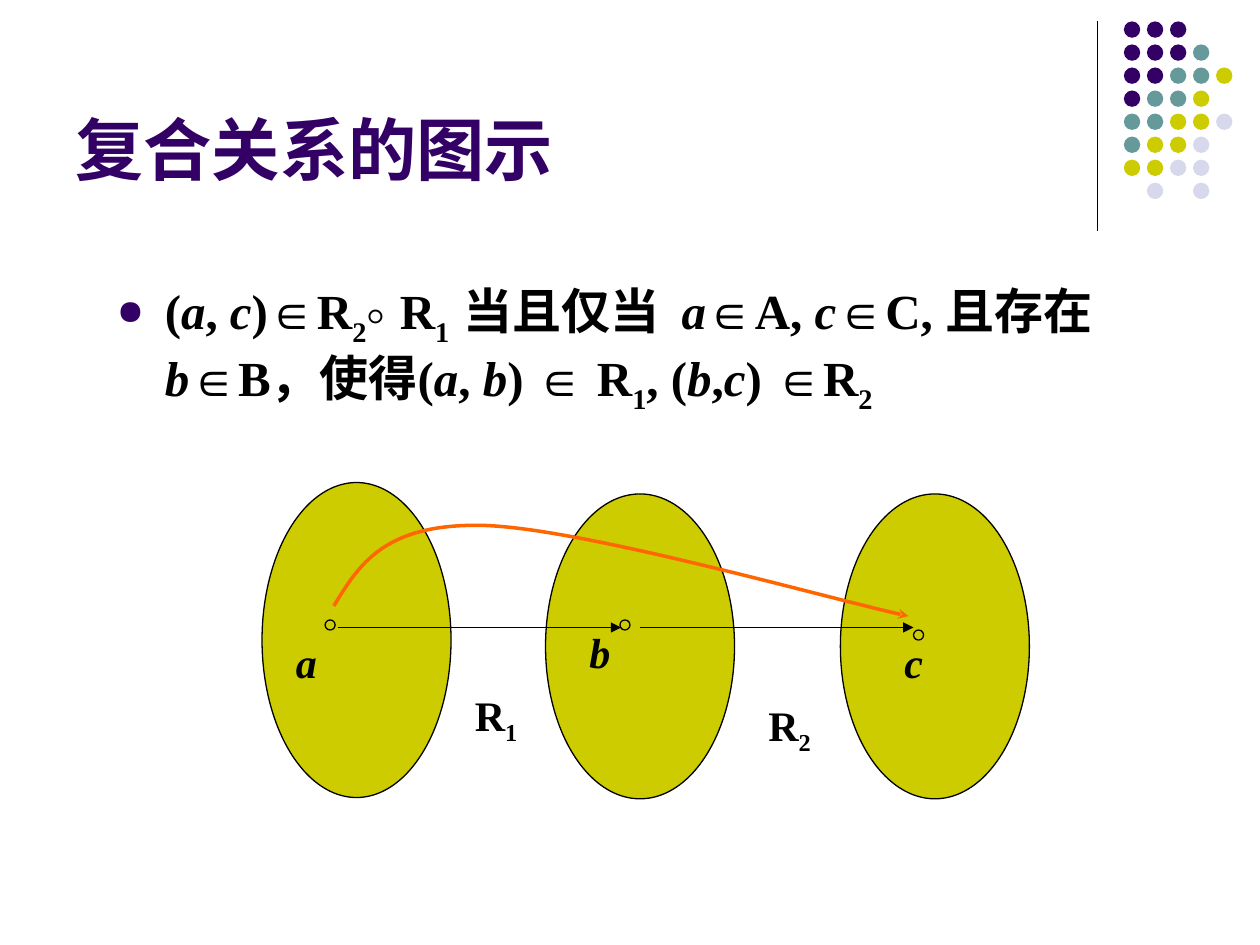
from typing import NamedTuple

from lxml.etree import SubElement
from pptx import Presentation
from pptx.dml.color import RGBColor as RGB
from pptx.enum.shapes import MSO_CONNECTOR as Link, MSO_SHAPE as Shape
from pptx.enum.text import MSO_ANCHOR as Anchor
from pptx.oxml.ns import qn
from pptx.util import Inches, Pt

HUES = {"P": "330066", "T": "669999", "Y": "CCCC00", "L": "D8D8EC",
        "ink": "000000", "arc": "FF6600"}
DOTS = ["PPP", "PPPT", "PPTTY", "PTTY", "TTYYL", "TYYL", "YYLL", " L L"]
SERIF = "Times New Roman"


class Box(NamedTuple):
    x: float
    y: float
    w: float
    h: float


class Bit(NamedTuple):
    text: str
    style: str = ""


class Label(NamedTuple):
    box: Box
    bits: list[Bit]


class Arrow(NamedTuple):
    start: float
    end: float
    y: float


SETS = [Box(2.08, 3.83, 1.5, 2.5), Box(4.33, 3.92, 1.5, 2.42), Box(6.67, 3.92, 1.5, 2.42)]
NODES = [Box(2.58, 4.92, 0.08, 0.08), Box(4.92, 4.92, 0.08, 0.08), Box(7.25, 5, 0.08, 0.08)]
LABELS = [
    Label(Box(2.25, 5, 0.58, 0.5), [Bit("a", "i")]),
    Label(Box(4.58, 4.92, 0.58, 0.5), [Bit("b", "i")]),
    Label(Box(7.08, 5, 0.58, 0.5), [Bit("c", "i")]),
    Label(Box(3.67, 5.42, 0.75, 0.5), [Bit("R"), Bit("1", "sub")]),
    Label(Box(6, 5.5, 0.58, 0.5), [Bit("R"), Bit("2", "sub")]),
]
ARROWS = [Arrow(2.68, 4.93, 4.98), Arrow(5.08, 7.25, 4.98)]
CURVE = [(2.65, 4.81), (2.85, 4.48), (3.05, 4.16), (3.81, 4.17),
         (4.57, 4.18), (6.64, 4.77), (7.21, 4.89)]
RULE = [
    Bit("("), Bit("a", "i"), Bit(","), Bit(" c", "i"), Bit(")∈R"),
    Bit("2   ", "sub"), Bit("⃘ ", "thin"), Bit("R"), Bit("1  ", "sub"),
    Bit("当且仅当  "), Bit("a", "i"), Bit("∈A, "), Bit("c", "i"),
    Bit("∈C, 且存在"), Bit("b", "i"), Bit("∈B，使得("), Bit("a", "i"),
    Bit(","), Bit(" b", "i"), Bit(") ∈ R"), Bit("1", "sub"), Bit(", ("),
    Bit("b", "i"), Bit(","), Bit("c", "i"), Bit(") ∈R"), Bit("2", "sub"),
]


def hue(key: str) -> RGB:
    return RGB.from_string(HUES[key])


def place(box: Box) -> list[Inches]:
    return [Inches(v) for v in box]


def oval(slide, box: Box, fill: str, edge: bool = True):
    dot = slide.shapes.add_shape(Shape.OVAL, *place(box))
    dot.shadow.inherit = False
    dot.fill.solid()
    dot.fill.fore_color.rgb = hue(fill)
    if edge:
        dot.line.color.rgb = hue("ink")
        dot.line.width = Pt(0.75)
    else:
        dot.line.fill.background()


def write(slide, box: Box, bits: list[Bit], size: float, face: str = SERIF,
          color: str = "ink", anchor: Anchor = Anchor.TOP):
    frame = slide.shapes.add_textbox(*place(box)).text_frame
    frame.word_wrap = True
    frame.vertical_anchor = anchor
    para = frame.paragraphs[0]
    font = para.font
    font.name, font.size, font.bold = face, Pt(size), True
    font.color.rgb = hue(color)
    for bit in bits:
        run = para.add_run()
        run.text = bit.text
        if bit.style == "i":
            run.font.italic = True
        elif bit.style == "thin":
            run.font.bold = False
        elif bit.style == "sub":
            run.font._element.set("baseline", "-25000")
    return para


def bullet(para):
    props = para._p.get_or_add_pPr()
    props.set("marL", str(Inches(0.38)))
    props.set("indent", str(-Inches(0.38)))
    tint = props.makeelement(qn("a:buClr"))
    SubElement(tint, qn("a:srgbClr"), val=HUES["P"])
    marks = [tint, props.makeelement(qn("a:buSzPct"), val="70000"),
             props.makeelement(qn("a:buChar"), char="●")]
    for spot, mark in enumerate(marks):
        props.insert(spot, mark)


def tip(line, kind: str):
    SubElement(line.line._get_or_add_ln(), qn("a:tailEnd"), type=kind)


def rod(slide, x: float, y: float, end_x: float, end_y: float):
    line = slide.shapes.add_connector(
        Link.STRAIGHT, Inches(x), Inches(y), Inches(end_x), Inches(end_y))
    line.line.color.rgb = hue("ink")
    line.line.width = Pt(0.75)
    SubElement(line._element.spPr, qn("a:effectLst"))
    return line


def bend(slide, points: list[tuple[float, float]]):
    spots = [(Inches(x), Inches(y)) for x, y in points]
    pen = slide.shapes.build_freeform(*spots[0])
    pen.add_line_segments(spots[1:], close=False)
    arc = pen.convert_to_shape()
    arc.shadow.inherit = False
    arc.fill.background()
    arc.line.color.rgb = hue("arc")
    arc.line.width = Pt(2)
    tip(arc, "stealth")
    steps = list(arc._element.iter(qn("a:lnTo")))
    track = steps[0].getparent()
    for first in range(0, len(steps), 3):
        cubic = SubElement(track, qn("a:cubicBezTo"))
        for step in steps[first:first + 3]:
            cubic.append(step[0])
            track.remove(step)


def main():
    """Build the slide on composite relations."""
    deck = Presentation()
    deck.slide_width, deck.slide_height = Inches(10), Inches(7.5)
    slide = deck.slides.add_slide(deck.slide_layouts[6])
    rod(slide, 8.71, 0.17, 8.71, 1.83)
    gap = 1.28 / 7
    for row, keys in enumerate(DOTS):
        for col, key in enumerate(keys):
            if key != " ":
                oval(slide, Box(8.92 + col * gap, 0.17 + row * gap, 0.13, 0.13), key, False)
    write(slide, Box(0.5, 0.13, 8.25, 1.42), [Bit("复合关系的图示")], 39,
          "Arial", "P", Anchor.BOTTOM)
    bullet(write(slide, Box(0.83, 2.18, 8.5, 4.1), RULE, 28))
    for box in SETS + NODES:
        oval(slide, box, "Y")
    for label in LABELS:
        write(slide, label.box, label.bits, 24)
    for arrow in ARROWS:
        tip(rod(slide, arrow.start, arrow.y, arrow.end, arrow.y), "triangle")
    bend(slide, CURVE)
    deck.save("out.pptx")


if __name__ == "__main__":
    main()
